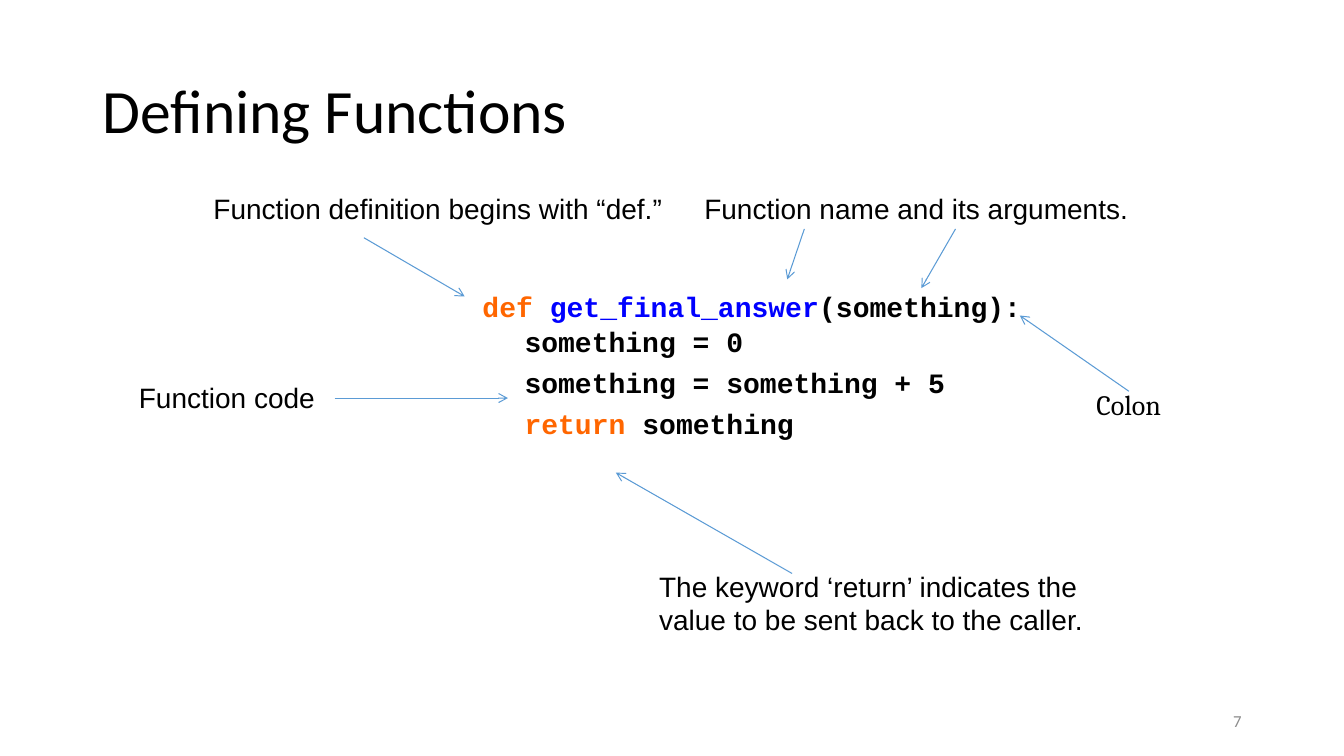
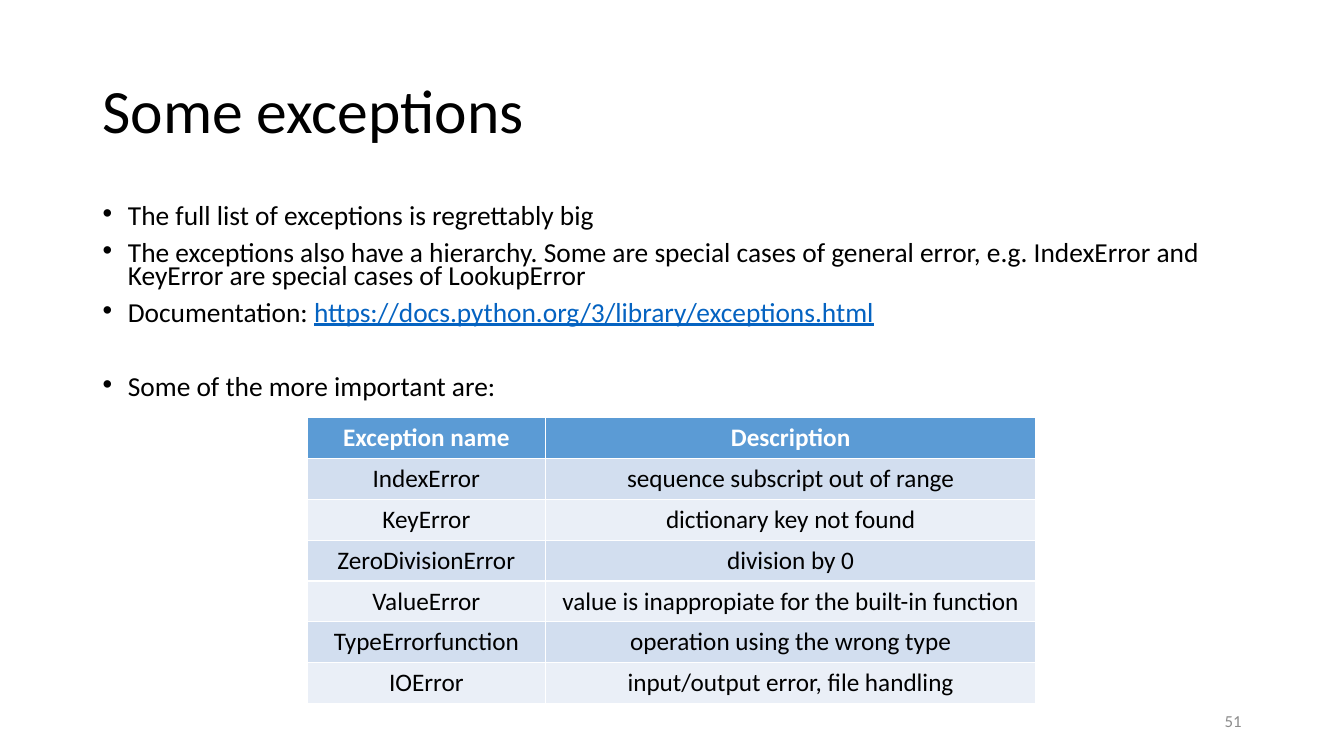
from lxml.etree import SubElement
from pptx import Presentation
from pptx.dml.color import RGBColor
from pptx.enum.shapes import MSO_CONNECTOR
from pptx.enum.text import MSO_ANCHOR, MSO_AUTO_SIZE, PP_ALIGN
from pptx.oxml.ns import qn
from pptx.util import Cm, Pt

BLACK = RGBColor(0x00, 0x00, 0x00)
WHITE = RGBColor(0xFF, 0xFF, 0xFF)
ORANGE = RGBColor(0xFF, 0x66, 0x00)
NAME_BLUE = RGBColor(0x00, 0x00, 0xFF)
URL_BLUE = RGBColor(0x05, 0x63, 0xC1)
ACCENT = RGBColor(0x5B, 0x9B, 0xD5)
GRAY = RGBColor(0x8C, 0x8C, 0x8C)
BANDS = (RGBColor(0xD2, 0xDE, 0xEF), RGBColor(0xEA, 0xEF, 0xF7))

TITLE_ONLY, TITLE_AND_CONTENT = 5, 1

# Code lines: left indent in cm, space before in points, coloured parts
CODE = [
    (2.54, 0, [("def ", ORANGE), ("get_final_answer", NAME_BLUE), ("(something):", BLACK)]),
    (3.6, 1.6, [("something = 0", BLACK)]),
    (3.6, 5.2, [("something = something + 5", BLACK)]),
    (3.6, 5.2, [("return ", ORANGE), ("something", BLACK)]),
]

# Callouts: lines, font, (left, top, width) in cm, arrows (x1, y1, x2, y2) in cm
CALLOUTS = [
    (["Function code"], "Arial", (3.25, 9.47, 5.0), [(8.43, 10.03, 12.8, 10.03)]),
    (["Function definition begins with “def.”"], "Arial", (5.13, 4.7, 12.17),
     [(9.17, 5.99, 11.71, 7.47)]),
    (["Function name and its arguments."], "Arial", (17.5, 4.7, 11.28),
     [(20.27, 5.77, 19.84, 7.04), (24.08, 5.77, 23.22, 7.26)]),
    (["The keyword ‘return’ indicates the", "value to be sent back to the caller."], "Arial",
     (16.36, 14.22, 11.76), [(19.96, 14.45, 15.52, 11.91)]),
    (["Colon"], "Cambria", (27.38, 9.65, 2.49), [(28.45, 9.86, 25.7, 7.95)]),
]

# Bullets: space before in points, (text, colour, underlined) parts
BULLETS = [
    (10, [("The full list of exceptions is regrettably big", BLACK, False)]),
    (10, [("The exceptions also have a hierarchy. Some are special cases of general error, "
           "e.g. IndexError and KeyError are special cases of LookupError", BLACK, False)]),
    (10, [("Documentation: ", BLACK, False),
          ("https://docs.python.org/3/library/exceptions.html", URL_BLUE, True)]),
    (36.4, [("Some of the more important are:", BLACK, False)]),
]

EXCEPTIONS = [
    ("Exception name", "Description"),
    ("IndexError", "sequence subscript out of range"),
    ("KeyError", "dictionary key not found"),
    ("ZeroDivisionError", "division by 0"),
    ("ValueError", "value is inappropiate for the built-in function"),
    ("TypeErrorfunction", "operation using the wrong type"),
    ("IOError", "input/output error, file handling"),
]
COLUMN_WIDTHS = (5.99, 12.37)
ROW_HEIGHT = 1.03


def add_run(paragraph, text, size, color=BLACK, font="Calibri", bold=False, underline=False):
    """Append one formatted run."""
    run = paragraph.add_run()
    run.text = text
    run.font.name, run.font.size = font, Pt(size)
    run.font.bold, run.font.underline = bold, underline
    run.font.color.rgb = color


def place(shape, left, top, width, height):
    """Set position and size in centimetres."""
    shape.left, shape.top = Cm(left), Cm(top)
    shape.width, shape.height = Cm(width), Cm(height)


def next_paragraph(frame, index):
    """Return the first paragraph for index 0, otherwise a new one."""
    return frame.add_paragraph() if index else frame.paragraphs[0]


def indent(paragraph, left, first_line=0):
    """Set the left and first-line indents in centimetres."""
    properties = paragraph._p.get_or_add_pPr()
    properties.set("marL", str(Cm(left)))
    properties.set("indent", str(Cm(first_line)))


def add_text_box(slide, left, top, width, height, wrap=True):
    """Add a text box and return its text frame."""
    frame = slide.shapes.add_textbox(Cm(left), Cm(top), Cm(width), Cm(height)).text_frame
    frame.word_wrap = wrap
    return frame


def add_slide(deck, layout, heading, number):
    """Add a slide with the shared title style and slide number."""
    slide = deck.slides.add_slide(deck.slide_layouts[layout])
    title = slide.shapes.title
    place(title, 2.33, 1.01, 29.21, 3.68)
    title.text_frame.auto_size = MSO_AUTO_SIZE.NONE
    title.text_frame.vertical_anchor = MSO_ANCHOR.MIDDLE
    line = title.text_frame.paragraphs[0]
    line.alignment, line.line_spacing = PP_ALIGN.LEFT, 0.9
    add_run(line, heading, 44)

    footer = add_text_box(slide, 23.92, 17.65, 7.62, 1.01)
    footer.vertical_anchor = MSO_ANCHOR.MIDDLE
    footer.paragraphs[0].alignment = PP_ALIGN.RIGHT
    add_run(footer.paragraphs[0], number, 12, GRAY)
    return slide


def add_arrow(slide, x1, y1, x2, y2):
    """Draw a thin arrow from the first point to the second."""
    arrow = slide.shapes.add_connector(MSO_CONNECTOR.STRAIGHT, Cm(x1), Cm(y1), Cm(x2), Cm(y2))
    arrow.line.color.rgb = ACCENT
    arrow.line.width = Pt(0.75)
    SubElement(arrow.line._get_or_add_ln(), qn("a:tailEnd"), type="arrow")
    SubElement(arrow._element.spPr, qn("a:effectLst"))


def add_callout(slide, lines, font, position, arrows):
    """Add a label with its arrows."""
    frame = add_text_box(slide, *position, 0.26 + 0.85 * len(lines), wrap=False)
    for index, text in enumerate(lines):
        add_run(next_paragraph(frame, index), text, 20, font=font)
    for points in arrows:
        add_arrow(slide, *points)


def add_code(slide):
    """Add the function listing."""
    frame = add_text_box(slide, 9.37, 7.16, 17.98, 3.81)
    for index, (left, gap, parts) in enumerate(CODE):
        line = next_paragraph(frame, index)
        indent(line, left)
        line.space_before = Pt(gap)
        for text, color in parts:
            add_run(line, text, 20, color, "Courier New", bold=True)


def add_bullets(slide):
    """Fill the body placeholder with the bullet list."""
    body = slide.placeholders[1]
    place(body, 2.33, 5.08, 29.21, 5.44)
    body.text_frame.auto_size = MSO_AUTO_SIZE.NONE
    for index, (gap, parts) in enumerate(BULLETS):
        bullet = next_paragraph(body.text_frame, index)
        indent(bullet, 0.64, -0.64)
        bullet.line_spacing, bullet.space_before = 0.7, Pt(gap)
        for text, color, underline in parts:
            add_run(bullet, text, 19.6, color, underline=underline)


def add_exceptions(slide):
    """Add the banded table of exceptions."""
    table = slide.shapes.add_table(
        len(EXCEPTIONS), len(COLUMN_WIDTHS), Cm(7.75), Cm(10.52),
        Cm(sum(COLUMN_WIDTHS)), Cm(ROW_HEIGHT * len(EXCEPTIONS))).table
    for column, width in zip(table.columns, COLUMN_WIDTHS):
        column.width = Cm(width)
    for index, (row, texts) in enumerate(zip(table.rows, EXCEPTIONS)):
        row.height = Cm(ROW_HEIGHT)
        header = index == 0
        for cell, text in zip(row.cells, texts):
            cell.fill.solid()
            cell.fill.fore_color.rgb = ACCENT if header else BANDS[(index - 1) % 2]
            line = cell.text_frame.paragraphs[0]
            line.alignment = PP_ALIGN.CENTER
            add_run(line, text, 18, WHITE if header else BLACK, bold=header)


def main():
    """Build and save the deck."""
    deck = Presentation()
    deck.slide_width, deck.slide_height = Cm(33.87), Cm(19.05)

    functions = add_slide(deck, TITLE_ONLY, "Defining Functions", "7")
    add_code(functions)
    for callout in CALLOUTS:
        add_callout(functions, *callout)

    exceptions = add_slide(deck, TITLE_AND_CONTENT, "Some exceptions", "51")
    add_bullets(exceptions)
    add_exceptions(exceptions)

    deck.save("out.pptx")


main()
